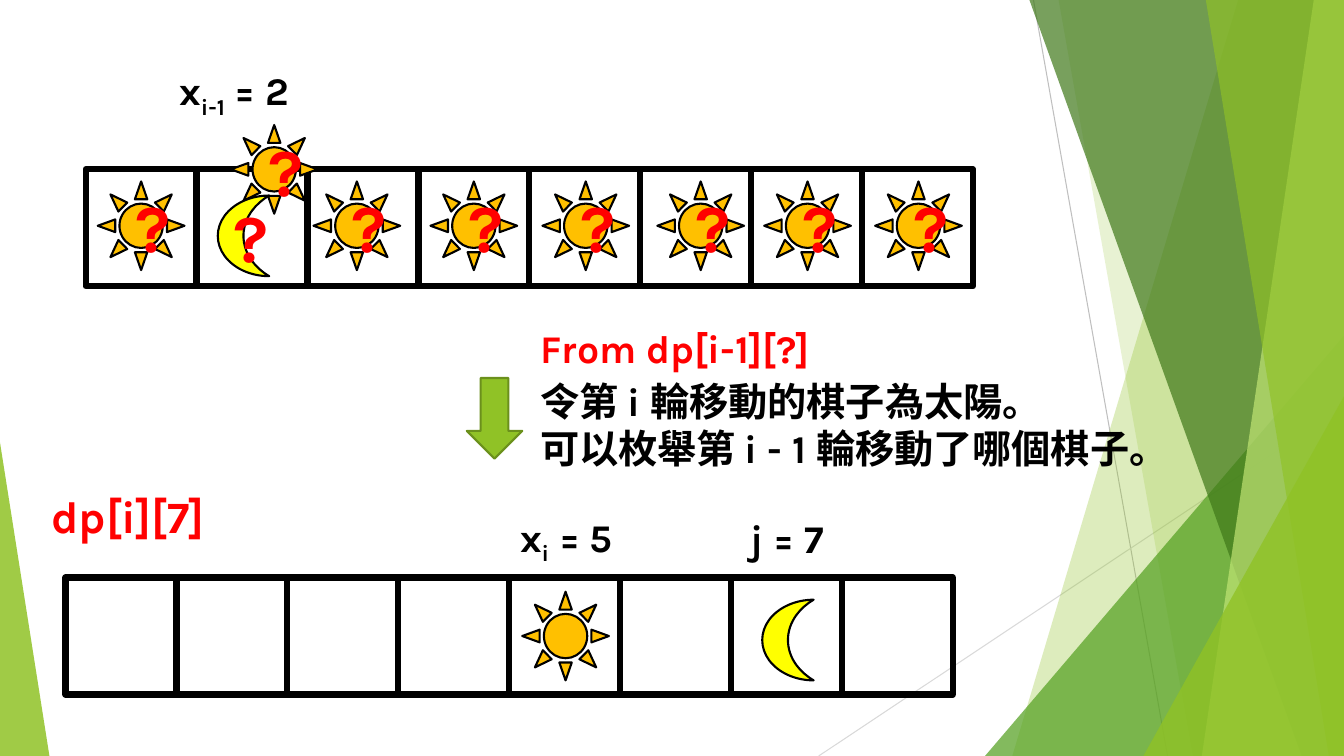
from lxml.etree import SubElement
from pptx import Presentation
from pptx.dml.color import RGBColor
from pptx.enum.shapes import MSO_CONNECTOR, MSO_SHAPE
from pptx.enum.text import MSO_ANCHOR, MSO_AUTO_SIZE, PP_ALIGN
from pptx.oxml.ns import qn
from pptx.util import Inches, Pt

FONT = "Karla"
BLACK, RED, ORANGE, YELLOW = "000000", "FF0000", "FFC000", "FFFF00"
GREEN, GREEN_EDGE = "90C226", "6B901C"
CELL_COUNT, CELL_WIDTH, CELL_HEIGHT = 8, 1.1, 1.16
SUN_SIZE = (0.86, 0.88)
MOON_SIZE = (0.51, 0.8)


def rgb(color):
    return RGBColor.from_string(color)


def paint(shape, fill=None, edge=None, width=1.5, opacity=100):
    shape.shadow.inherit = False
    if fill:
        shape.fill.solid()
        shape.fill.fore_color.rgb = rgb(fill)
        if opacity < 100:
            solid_color = shape.fill._xPr.find(qn("a:solidFill"))[0]
            SubElement(solid_color, qn("a:alpha"), val=str(opacity * 1000))
    else:
        shape.fill.background()
    if edge:
        shape.line.color.rgb = rgb(edge)
        shape.line.width = Pt(width)
    else:
        shape.line.fill.background()


def add_preset(slide, kind, left, top, size, **look):
    shape = slide.shapes.add_shape(kind, Inches(left), Inches(top), *map(Inches, size))
    paint(shape, **look)
    return shape


def add_run(paragraph, text, size, color, subscript=False):
    run = paragraph.add_run()
    run.text = text
    run.font.name = FONT
    run.font.size = Pt(size)
    run.font.bold = True
    run.font.color.rgb = rgb(color)
    if subscript:
        run.font._element.set("baseline", "-25000")


def add_label(slide, left, top, size, lines, points=28, color=BLACK, align=PP_ALIGN.LEFT):
    """Each line is a list of texts; every second text in it is a subscript."""
    box = slide.shapes.add_textbox(Inches(left), Inches(top), *map(Inches, size))
    frame = box.text_frame
    frame.word_wrap = True
    frame.auto_size = MSO_AUTO_SIZE.SHAPE_TO_FIT_TEXT
    for number, texts in enumerate(lines):
        paragraph = frame.add_paragraph() if number else frame.paragraphs[0]
        paragraph.alignment = align
        for position, text in enumerate(texts):
            add_run(paragraph, text, points, color, subscript=position % 2 == 1)


def add_piece(slide, kind, left, top, unknown=False):
    size, fill = (SUN_SIZE, ORANGE) if kind == MSO_SHAPE.SUN else (MOON_SIZE, YELLOW)
    piece = add_preset(slide, kind, left, top, size, fill=fill, edge=BLACK)
    if unknown:
        piece.text_frame.vertical_anchor = MSO_ANCHOR.MIDDLE
        paragraph = piece.text_frame.paragraphs[0]
        paragraph.alignment = PP_ALIGN.CENTER
        add_run(paragraph, "?", 48, RED)


def add_board(slide, left, top):
    for column in range(CELL_COUNT):
        add_preset(slide, MSO_SHAPE.RECTANGLE, left + column * CELL_WIDTH, top,
                   (CELL_WIDTH, CELL_HEIGHT), edge=BLACK, width=4.5)


def add_thin_line(slide, start, end, color):
    line = slide.shapes.add_connector(MSO_CONNECTOR.STRAIGHT, *map(Inches, start + end))
    line.line.color.rgb = rgb(color)
    line.line.width = Pt(0.75)
    SubElement(line._element.spPr, qn("a:effectLst"))


def add_band(slide, top_left, bottom_left, color, opacity):
    """Fill from a slanted left edge to the right side of the slide."""
    corners = [(top_left, 0), (13.33, 0), (13.33, 7.5), (bottom_left, 7.5)]
    points = [(Inches(x), Inches(y)) for x, y in corners]
    builder = slide.shapes.build_freeform(*points[0])
    builder.add_line_segments(points[1:], close=True)
    paint(builder.convert_to_shape(), fill=color, opacity=opacity)


def add_corner(slide, left, top, size, apex, color, opacity):
    corner = add_preset(slide, MSO_SHAPE.ISOSCELES_TRIANGLE, left, top, size,
                        fill=color, opacity=opacity)
    corner.adjustments[0] = apex


def add_backdrop(slide):
    add_thin_line(slide, (10.25, 0), (11.58, 7.5), "BFBFBF")
    add_thin_line(slide, (13.33, 4.03), (8.12, 7.5), "D9D9D9")
    add_band(slide, 12.28, 10.04, GREEN, 30)
    add_band(slide, 10.5, 11.83, GREEN, 20)
    add_corner(slide, 9.77, 3.33, (3.56, 4.17), 1, "54A021", 72)
    add_band(slide, 10.21, 12.91, "3F7819", 70)
    add_band(slide, 13.03, 11.92, "C0E474", 70)
    add_band(slide, 11.96, 13.18, GREEN, 65)
    add_corner(slide, 11.34, 3.93, (1.99, 3.57), 1, GREEN, 80)
    add_corner(slide, 0, 4.39, (0.49, 3.11), 0, GREEN, 85)


def main():
    deck = Presentation()
    deck.slide_width, deck.slide_height = Inches(13.33), Inches(7.5)
    slide = deck.slides.add_slide(deck.slide_layouts[6])
    add_backdrop(slide)

    add_board(slide, 0.65, 5.73)
    add_piece(slide, MSO_SHAPE.SUN, 5.18, 5.87)
    add_piece(slide, MSO_SHAPE.MOON, 7.56, 5.95)
    add_label(slide, 0.41, 4.8, (2.32, 0.64), [["dp[i][7]"]], points=32, color=RED)

    add_board(slide, 0.85, 1.68)
    for left in (0.97, 3.11, 4.27, 5.38, 6.52, 7.58, 8.68):
        add_piece(slide, MSO_SHAPE.SUN, left, 1.8, unknown=True)
    add_piece(slide, MSO_SHAPE.SUN, 2.29, 1.24, unknown=True)
    add_piece(slide, MSO_SHAPE.MOON, 2.16, 1.94, unknown=True)

    add_preset(slide, MSO_SHAPE.DOWN_ARROW, 4.63, 3.75, (0.55, 0.8),
               fill=GREEN, edge=GREEN_EDGE)
    add_label(slide, 5.26, 3.17, (4.28, 0.57), [["From dp[i-1][?]"]], color=RED)
    add_label(slide, 5.26, 3.69, (6.33, 1.04),
              [["令第 i 輪移動的棋子為太陽。"], ["可以枚舉第 i - 1 輪移動了哪個棋子。"]])

    label_size = (2.74, 0.57)
    add_label(slide, 1.68, 0.61, label_size, [["x", "i-1", " = 2"]])
    add_label(slide, 5.06, 5.04, label_size, [["x", "i", " = 5"]])
    add_label(slide, 6.44, 5.05, label_size, [["j = 7"]], align=PP_ALIGN.CENTER)
    deck.save("out.pptx")


if __name__ == "__main__":
    main()
